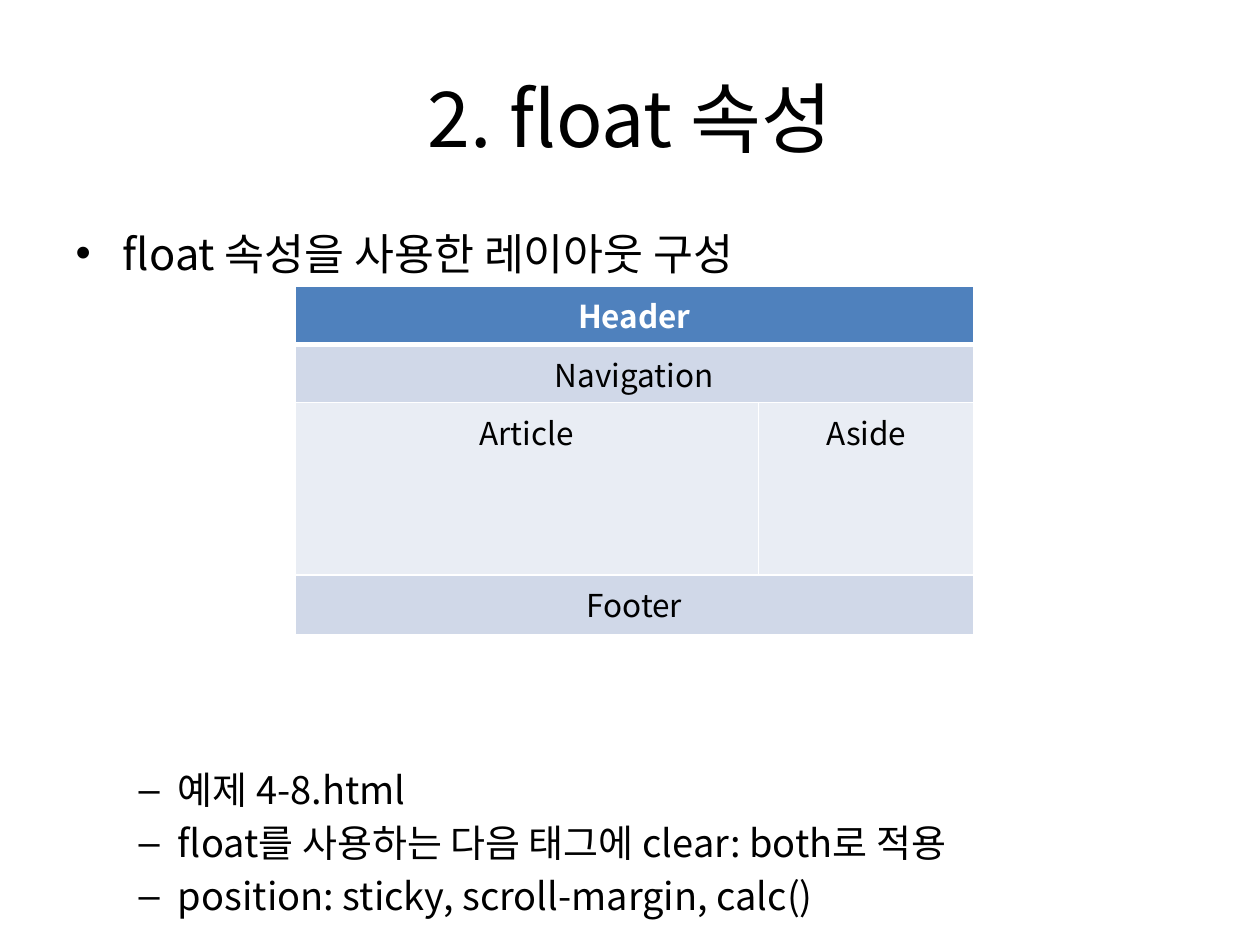
from dataclasses import dataclass

from lxml import etree
from pptx import Presentation
from pptx.dml.color import RGBColor
from pptx.enum.text import MSO_ANCHOR, MSO_AUTO_SIZE, PP_ALIGN
from pptx.oxml.ns import qn
from pptx.util import Inches, Pt

CENTER = PP_ALIGN.CENTER
MIDDLE, TOP = MSO_ANCHOR.MIDDLE, MSO_ANCHOR.TOP


@dataclass(frozen=True)
class Theme:
    font: str = "Noto Sans CJK KR"
    ink: str = "000000"
    white: str = "FFFFFF"
    header: str = "4F81BD"
    band: str = "D0D8E8"
    panel: str = "E9EDF4"
    title_size: float = 44
    topic_size: float = 24.8
    detail_size: float = 21.7
    cell_size: float = 18


@dataclass(frozen=True)
class Bullet:
    text: str
    level: int
    size: float
    before: float


@dataclass(frozen=True)
class LayoutRow:
    labels: tuple[str, ...]
    height: float
    fill: str
    ink: str = Theme.ink
    bold: bool = False
    rule_above: float = 1
    rule_below: float = 1


THEME = Theme()

BULLETS = (
    Bullet("float 속성을 사용한 레이아웃 구성", 0, THEME.topic_size, 3),
    # The wide space before the details leaves room for the table
    Bullet("예제 4-8.html", 1, THEME.detail_size, 278.6),
    Bullet("float를 사용하는 다음 태그에 clear: both로 적용", 1, THEME.detail_size, 4.3),
    Bullet("position: sticky, scroll-margin, calc()", 1, THEME.detail_size, 4.3),
)

COLUMN_WIDTHS = (3.68, 1.71)
LAYOUT_ROWS = (
    LayoutRow(("Header",), 0.46, THEME.header, THEME.white, True, rule_below=3),
    LayoutRow(("Navigation",), 0.46, THEME.band, rule_above=3),
    LayoutRow(("Article", "Aside"), 1.37, THEME.panel),
    LayoutRow(("Footer",), 0.47, THEME.band),
)


def style_runs(paragraph, size: float, color: str = THEME.ink, bold: bool = False) -> None:
    for run in paragraph.runs:
        run.font.name = THEME.font
        run.font.size = Pt(size)
        run.font.bold = bold
        run.font.color.rgb = RGBColor.from_string(color)


def place(shape, left: float, top: float, width: float, height: float) -> None:
    shape.left, shape.top = Inches(left), Inches(top)
    shape.width, shape.height = Inches(width), Inches(height)


def set_borders(cell, above: float, below: float) -> None:
    properties = cell._tc.get_or_add_tcPr()
    sides = (("a:lnL", 1), ("a:lnR", 1), ("a:lnT", above), ("a:lnB", below))
    for position, (side, width) in enumerate(sides):
        line = etree.Element(qn(side), w=str(Pt(width)))
        fill = etree.SubElement(line, qn("a:solidFill"))
        etree.SubElement(fill, qn("a:srgbClr"), val=THEME.white)
        properties.insert(position, line)


def write_title(title, text: str) -> None:
    place(title, 0.5, 0.3, 9, 1.25)
    frame = title.text_frame
    frame.text = text
    frame.vertical_anchor = MIDDLE
    frame.paragraphs[0].alignment = CENTER
    style_runs(frame.paragraphs[0], THEME.title_size)


def write_bullets(body, bullets: tuple[Bullet, ...]) -> None:
    place(body, 0.5, 1.75, 9, 4.95)
    frame = body.text_frame
    frame.text = "\n".join(bullet.text for bullet in bullets)
    frame.auto_size = MSO_AUTO_SIZE.NONE
    frame.vertical_anchor = TOP
    for paragraph, bullet in zip(frame.paragraphs, bullets):
        paragraph.level = bullet.level
        paragraph.space_before = Pt(bullet.before)
        style_runs(paragraph, bullet.size)


def draw_layout_table(slide, rows: tuple[LayoutRow, ...]) -> None:
    table = slide.shapes.add_table(
        len(rows), len(COLUMN_WIDTHS), Inches(2.34), Inches(2.27),
        Inches(sum(COLUMN_WIDTHS)), Inches(sum(row.height for row in rows)),
    ).table
    table.horz_banding = False
    for column, width in zip(table.columns, COLUMN_WIDTHS):
        column.width = Inches(width)
    for index, row in enumerate(rows):
        table.rows[index].height = Inches(row.height)
        cells = list(table.rows[index].cells)
        for cell in cells:
            cell.fill.solid()
            cell.fill.fore_color.rgb = RGBColor.from_string(row.fill)
            set_borders(cell, row.rule_above, row.rule_below)
        if len(row.labels) == 1:
            cells[0].merge(cells[-1])
        for cell, label in zip(cells, row.labels):
            cell.text_frame.text = label
            paragraph = cell.text_frame.paragraphs[0]
            paragraph.alignment = CENTER
            style_runs(paragraph, THEME.cell_size, row.ink, row.bold)


presentation = Presentation()
presentation.slide_width, presentation.slide_height = Inches(10), Inches(7.5)
slide = presentation.slides.add_slide(presentation.slide_layouts[1])

# Title and bullet list
write_title(slide.shapes.title, "2. float 속성")
write_bullets(slide.placeholders[1], BULLETS)

# Page layout table
draw_layout_table(slide, LAYOUT_ROWS)

presentation.save("out.pptx")
